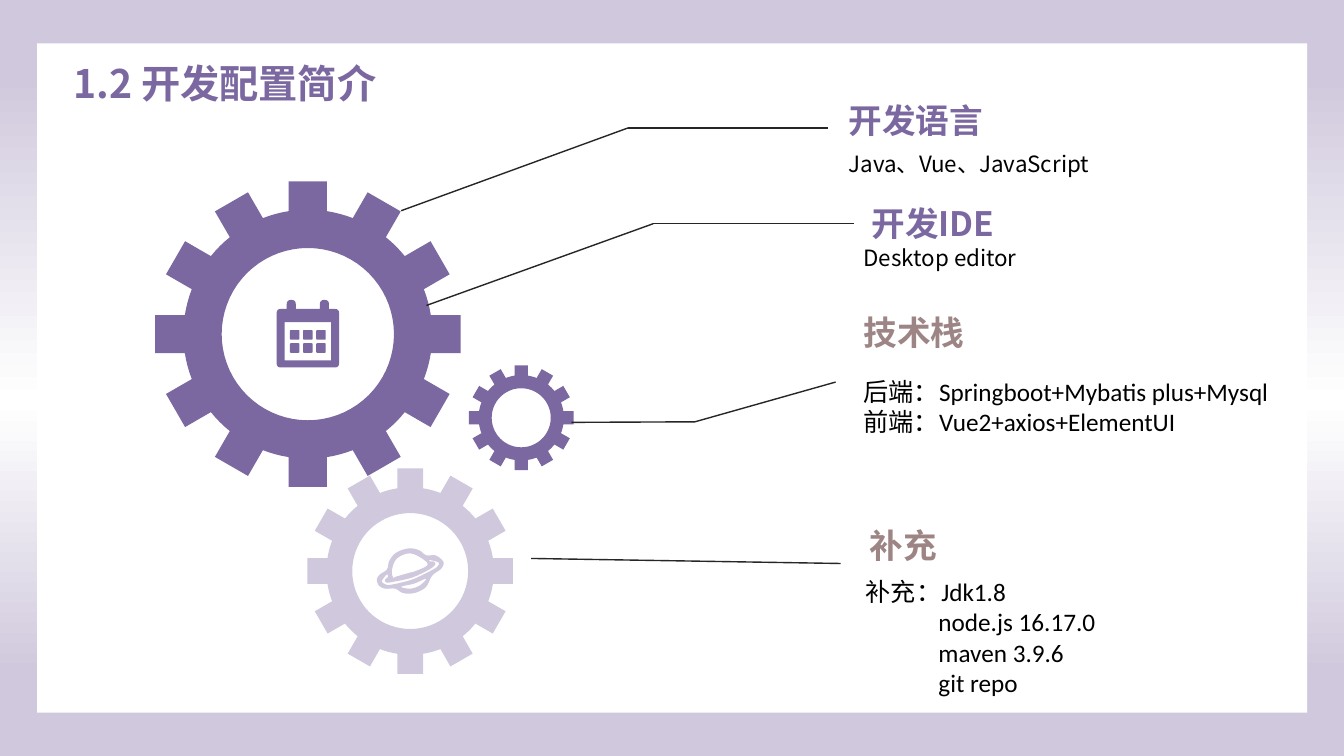
from copy import deepcopy
from dataclasses import dataclass
from itertools import pairwise
from math import cos, sin, pi, atan2, hypot

from pptx import Presentation
from pptx.dml.color import RGBColor as RGB
from pptx.enum.shapes import MSO_CONNECTOR as CONN, MSO_SHAPE as SHAPE
from pptx.enum.text import MSO_ANCHOR as ANCHOR, MSO_AUTO_SIZE as AUTO, PP_ALIGN as ALIGN
from pptx.oxml.ns import qn
from pptx.util import Pt


@dataclass(frozen=True)
class Theme:
    violet: RGB = RGB(0x7B, 0x68, 0xA1)
    lilac: RGB = RGB(0xD0, 0xC9, 0xDD)
    taupe: RGB = RGB(0x9E, 0x85, 0x85)
    ink: RGB = RGB(0x26, 0x26, 0x26)
    black: RGB = RGB(0, 0, 0)
    white: RGB = RGB(255, 255, 255)
    cjk: str = "Noto Sans CJK SC"
    latin: str = "Calibri"
    title: int = 28
    heading: int = 24
    body: int = 18
    note: int = 16


T = Theme()

# Content: lengths in points
TITLE = "1.2 开发配置简介"
# heading, colour, (left, top)
HEADINGS = [
    ("开发语言", T.violet, (599, 67.7)),
    ("开发IDE", T.violet, (615.6, 141.1)),
    ("技术栈", T.taupe, (609.8, 219.6)),
    ("补充", T.taupe, (614.2, 371.5)),
]
# lines as (text, indent), font, size, (left, top, width, height)
DETAILS = [
    ([("Java、Vue、JavaScript", 0)], T.cjk, T.note, (599, 103.7, 279.4, 26.6)),
    ([("Desktop editor", 0)], T.cjk, T.note, (609.8, 170.6, 279.4, 26.6)),
    ([("后端：Springboot+Mybatis plus+Mysql", 0), ("前端：Vue2+axios+ElementUI", 0)],
     T.latin, T.body, (609.8, 265, 319.7, 72.7)),
    ([("补充：Jdk1.8", 0), ("node.js 16.17.0", 52), ("maven 3.9.6", 52), ("git repo", 52)],
     T.latin, T.body, (611.3, 408.2, 319.7, 94.3)),
]
# centre, radius, colour
BIG_GEAR = ((219.9, 238.7), 109.1, T.violet)
MID_GEAR = ((293, 407.9), 73.4, T.lilac)
SMALL_GEAR = ((372.3, 298.4), 37.4, T.violet)
LEADERS = [
    [(286.6, 150.5), (448.6, 91.4), (591.1, 91.4)],
    [(304.6, 218.2), (466.6, 159.8), (609.8, 159.8)],
    [(408.2, 301.7), (496.4, 301.3), (596.9, 272.9)],
    [(379.4, 398.9), (600.5, 402.5)],
]
# Planet icon, around its centre: silhouette, upper disc, lower disc, ring gap
PLANET = [
    [(23, -7.6), (18, -11.2), (11.5, -11.2), (6.5, -14.8), (0, -16.2), (-6.5, -14.8),
     (-11.5, -11.9), (-15.1, -6.8), (-16.6, -1.1), (-21.6, 2.5), (-23.8, 6.1),
     (-22.3, 10.4), (-18, 12.6), (-10.8, 12.6), (-5.8, 15.5), (0, 16.2), (5.8, 14.8),
     (11.5, 11.2), (15.8, 3.2), (21.6, -1.1), (23.8, -4.7)],
    [(-13, -1.1), (-9.4, -9), (0, -12.6), (9.4, -8.3), (12.2, -4), (2.9, 0.4), (0, 1.1),
     (-10, 4), (-12.2, 4.7)],
    [(0, 12.6), (-6.5, 11.2), (2.9, 9), (11.5, 5.4), (7, 10.3)],
    [(19.4, -3.2), (15.1, -0.4), (1.4, 6.1), (-13, 9.7), (-17.3, 9.7), (-20.2, 7.6),
     (-18.7, 4.7), (-16.6, 2.5), (-15.8, 4), (-17.3, 5.4), (-18, 6.8), (-16.6, 8.3),
     (-11.5, 7.6), (1.4, 4.7), (13.7, -1.1), (17.3, -4), (18, -5.4), (16.6, -6.8),
     (14.4, -6.8), (13.7, -7.9), (20.2, -6.1)],
]


# Outlines
def gear_outlines(radius):
    """Twelve square teeth on a disc, and a round hole."""
    half, base, hole = (k * radius for k in (0.125, 0.805, 0.564))
    root, edge = hypot(base, half), atan2(half, base)
    tooth = [(base, -half), (radius, -half), (radius, half), (base, half)]
    valley = [(root * cos(a), root * sin(a))
              for a in (edge + (pi / 6 - 2 * edge) * k / 4 for k in (1, 2, 3))]
    rim = [(x * cos(a) - y * sin(a), x * sin(a) + y * cos(a))
           for a in (i * pi / 6 for i in range(12)) for x, y in tooth + valley]
    circle = [(hole * cos(i * pi / 36), hole * sin(i * pi / 36)) for i in range(72)]
    return [rim, circle]


def rounded(corners):
    """Round each corner (x, y, r) of a closed polygon."""
    out = []
    for i, (x, y, r) in enumerate(corners):
        legs = []
        for nx, ny, _ in (corners[i - 1], corners[(i + 1) % len(corners)]):
            k = r / hypot(nx - x, ny - y)
            legs.append((x + k * (nx - x), y + k * (ny - y)))
        (ax, ay), (bx, by) = legs
        steps = [s / 4 for s in range(5)] if r else [0]
        out += [((1 - t) ** 2 * ax + 2 * t * (1 - t) * x + t * t * bx,
                 (1 - t) ** 2 * ay + 2 * t * (1 - t) * y + t * t * by) for t in steps]
    return out


def box(x, y, w, h, r=0.0):
    return rounded([(x, y, r), (x + w, y, r), (x + w, y + h, r), (x, y + h, r)])


def calendar_outlines():
    top, ear_top = -18, -24.5
    ears = [c for x in (-15.1, 8.6) for c in
            ((x, top, 0), (x, ear_top, 3.2), (x + 6.5, ear_top, 3.2), (x + 6.5, top, 0))]
    body = [(-22.3, top, 3), *ears, (22.3, top, 3), (22.3, 23.8, 3), (-22.3, 23.8, 3)]
    days = [box(-12.8 + 9.4 * col, -2.9 + 9.4 * row, 6.8, 6.8, 0.7)
            for row in range(2) for col in range(3)]
    return [rounded(body), box(-16.6, -8.6, 33.2, 27.3), *days]


def smooth(pts):
    """Closed curve through all points."""
    out = []
    for i in range(len(pts)):
        quad = [pts[(i + k) % len(pts)] for k in (-1, 0, 1, 2)]
        for t in (0, 0.25, 0.5, 0.75):
            out.append(tuple(b + t * (c - a) / 2 + t * t * (2 * a - 5 * b + 4 * c - d) / 2
                             + t ** 3 * (3 * b - a - 3 * c + d) / 2
                             for a, b, c, d in zip(*quad)))
    return out


# Drawing
def paint(sp, color):
    sp.shadow.inherit = False
    sp.fill.solid()
    sp.fill.fore_color.rgb = color
    sp.line.fill.background()


def draw_outlines(slide, outlines, centre, color):
    rings = [[(Pt(centre[0] + x), Pt(centre[1] + y)) for x, y in o] for o in outlines]
    fb = slide.shapes.build_freeform(*rings[0][0], scale=1.0)
    for i, ring in enumerate(rings):
        if i:
            fb.move_to(*ring[0])
        fb.add_line_segments(ring[1:], close=True)
    paint(fb.convert_to_shape(), color)


def draw_leader(slide, points):
    for a, b in pairwise(points):
        ln = slide.shapes.add_connector(CONN.STRAIGHT, *map(Pt, a + b))
        ln.line.color.rgb = T.ink
        ln.line.width = Pt(1)
        ln._element.spPr.append(ln._element.makeelement(qn("a:effectLst"), {}))


def write(sp, lines, font, size, color, bold=False):
    tf = sp.text_frame
    tf.word_wrap, tf.auto_size, tf.vertical_anchor = True, AUTO.NONE, ANCHOR.TOP
    for i, (text, indent) in enumerate(lines):
        p = tf.add_paragraph() if i else tf.paragraphs[0]
        p.text, p.alignment = text, ALIGN.LEFT
        if indent:
            p._p.get_or_add_pPr().set("marL", str(Pt(indent)))
        f = p.font
        f.name, f.size, f.bold = font, Pt(size), bold
        f.color.rgb = color
        f._rPr.append(f._rPr.makeelement(qn("a:ea"), {"typeface": T.cjk}))


def main():
    prs = Presentation()
    prs.slide_width, prs.slide_height = Pt(960), Pt(540)
    slide = prs.slides.add_slide(prs.slide_layouts[5])

    # Background gradient
    fill = slide.background.fill
    fill.gradient()
    fill.gradient_angle = 270
    first = fill.gradient_stops[0]._gs
    first.addnext(deepcopy(first))
    stops = [(0.1, T.lilac), (0.53, T.white), (0.89, T.lilac)]
    for stop, (pos, color) in zip(fill.gradient_stops, stops):
        stop.position = pos
        stop.color.rgb = color

    # White panel, behind the title
    panel = slide.shapes.add_shape(SHAPE.RECTANGLE, Pt(26.6), Pt(31), Pt(907.2), Pt(478))
    paint(panel, T.white)
    title = slide.shapes.title
    title._element.addprevious(panel._element)

    # Title
    title.left, title.top, title.width, title.height = map(Pt, (45.4, 38.9, 285.8, 41))
    write(title, [(TITLE, 0)], T.cjk, T.title, T.violet, True)

    # Gears, leaders and icons
    for centre, radius, color in (BIG_GEAR, MID_GEAR, SMALL_GEAR):
        draw_outlines(slide, gear_outlines(radius), centre, color)
    for points in LEADERS:
        draw_leader(slide, points)
    draw_outlines(slide, calendar_outlines(), BIG_GEAR[0], T.violet)
    draw_outlines(slide, [smooth(o) for o in PLANET], MID_GEAR[0], T.lilac)

    # Headings and details
    for text, color, pos in HEADINGS:
        tb = slide.shapes.add_textbox(*map(Pt, (*pos, 153.4, 36)))
        write(tb, [(text, 0)], T.cjk, T.heading, color, True)
    for lines, font, size, area in DETAILS:
        write(slide.shapes.add_textbox(*map(Pt, area)), lines, font, size, T.black)

    prs.save("out.pptx")


if __name__ == "__main__":
    main()
